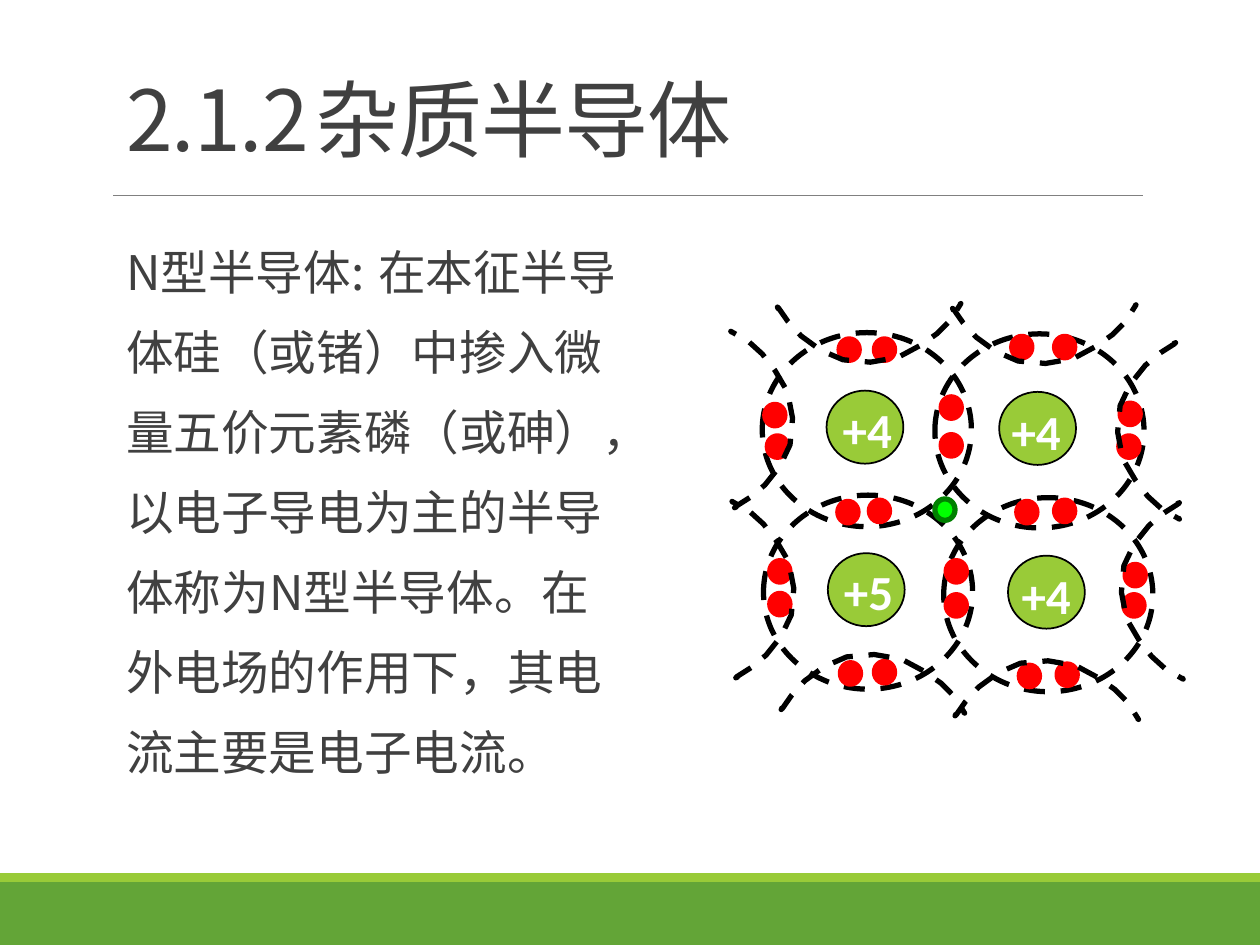
from lxml import etree
from pptx import Presentation
from pptx import util as u
from pptx.dml import color as dml
from pptx.enum import dml as lines
from pptx.enum import shapes, text
from pptx.oxml import ns

Inches = u.Inches
hex_color = dml.RGBColor.from_string
CJK = "Noto Sans CJK SC"
BLACK, RED, LIME = "000000", "FF0000", "99CB38"


def write(box, words, font=CJK, size=28, color="404040", bold=False, spacing=1.0,
          anchor=text.MSO_ANCHOR.TOP, tab=None, tracking=0):
    frame = box.text_frame
    frame.word_wrap = True
    frame.auto_size = text.MSO_AUTO_SIZE.NONE
    frame.vertical_anchor = anchor
    frame.margin_left = Inches(0.1)
    frame.margin_right = 0
    frame.margin_top = frame.margin_bottom = Inches(0.05)
    para = frame.paragraphs[0]
    para.alignment = text.PP_ALIGN.LEFT
    para.line_spacing = spacing
    para.space_before = u.Pt(0)
    properties = para._p.get_or_add_pPr()
    properties.set("marL", "0")
    properties.set("indent", "0")
    etree.SubElement(properties, ns.qn("a:buNone"))
    if tab:
        stops = etree.SubElement(properties, ns.qn("a:tabLst"))
        etree.SubElement(stops, ns.qn("a:tab"), pos=str(Inches(tab)), algn="l")
    span = para.add_run()
    span.text = words
    span.font.name = font
    span.font.size = u.Pt(size)
    span.font.bold = bold
    span.font.color.rgb = hex_color(color)
    run_properties = span._r.get_or_add_rPr()
    run_properties.set("spc", str(int(tracking * 100)))
    etree.SubElement(run_properties, ns.qn("a:ea")).set("typeface", font)


def paint(shape, fill=None, line=None, width=1, dashed=False):
    shape.shadow.inherit = False
    if fill:
        shape.fill.solid()
        shape.fill.fore_color.rgb = hex_color(fill)
    else:
        shape.fill.background()
    if line:
        shape.line.color.rgb = hex_color(line)
        shape.line.width = u.Pt(width)
    else:
        shape.line.fill.background()
    if dashed:
        shape.line.dash_style = lines.MSO_LINE.DASH


deck = Presentation()
deck.slide_width, deck.slide_height = Inches(10), Inches(7.5)
page = deck.slides.add_slide(deck.slide_layouts[1])
title, body = page.placeholders
drawing = page.shapes
OVAL = shapes.MSO_SHAPE.OVAL

for top, height, fill in [(7, 0.5, "63A537"), (6.93, 0.07, LIME)]:
    band = drawing.add_shape(shapes.MSO_SHAPE.RECTANGLE, 0, Inches(top), Inches(10), Inches(height))
    paint(band, fill)

rule = drawing.add_connector(shapes.MSO_CONNECTOR.STRAIGHT,
                             Inches(0.9), Inches(1.55), Inches(9.07), Inches(1.55))
rule.line.color.rgb = hex_color("808080")
rule.line.width = u.Pt(0.5)
etree.SubElement(rule._element.spPr, ns.qn("a:effectLst"))

for box, (left, top, width, height) in [(title, (0.9, 0.31, 8.25, 1.08)), (body, (0.9, 1.7, 4.1, 4.72))]:
    box.left, box.top, box.width, box.height = map(Inches, (left, top, width, height))
write(title, "2.1.2\t杂质半导体", size=48, spacing=0.85, anchor=text.MSO_ANCHOR.BOTTOM,
      tab=2.02, tracking=-0.5)
write(body, "N型半导体:\t在本征半导体硅（或锗）中掺入微量五价元素磷（或砷），"
            "以电子导电为主的半导体称为N型半导体。在外电场的作用下，其电流主要是电子电流。",
      size=27.2, spacing=1.4, tab=2.33)

atoms = [
    ("+4", (6.05, 2.64), (6.59, 3.12)), ("+4", (7.42, 2.65), (7.93, 3.14)),
    ("+5", (6.06, 3.93), (6.6, 4.41)), ("+4", (7.49, 3.95), (8.01, 4.44)),
]
for charge, (left, top), place in atoms:
    nucleus = drawing.add_shape(OVAL, Inches(left + 0.51), Inches(top + 0.46), Inches(0.61), Inches(0.58))
    paint(nucleus, LIME, BLACK)
    orbit = drawing.add_shape(OVAL, Inches(left), Inches(top), Inches(1.66), Inches(1.54))
    paint(orbit, None, BLACK, 3, dashed=True)

electrons = [
    (6.66, 2.69), (6.94, 2.69), (8.03, 2.67), (8.37, 2.67),
    (6.07, 3.21), (6.09, 3.46), (7.47, 3.15), (7.47, 3.45), (8.89, 3.2), (8.88, 3.46),
    (6.65, 3.98), (6.9, 3.97), (8.07, 3.98), (8.37, 3.97),
    (6.11, 4.45), (6.11, 4.71), (7.51, 4.45), (7.51, 4.72), (8.93, 4.48), (8.92, 4.72),
    (6.67, 5.26), (6.94, 5.25), (8.09, 5.28), (8.39, 5.27),
]
for left, top in electrons:
    electron = drawing.add_shape(OVAL, Inches(left), Inches(top), Inches(0.16), Inches(0.17))
    paint(electron, RED, RED, 3)

profile = [
    (0.02, 0.06), (0.01, 0.04), (0.02, 0.05), (0.09, 0.16), (0.19, 0.28), (0.34, 0.4), (0.51, 0.48),
    (0.72, 0.5), (0.93, 0.46), (1.1, 0.36), (1.23, 0.26), (1.33, 0.15), (1.41, 0.01), (1.4, 0.02),
]
sides = [
    ((0, 1), (-1, 0), [(9.37, 2.71), (9.4, 3.98)]),
    ((1.04, 0), (0, 0.95), [(6.16, 2.4), (7.55, 2.41)]),
    ((1.04, 0), (0, -0.95), [(6.19, 5.67), (7.57, 5.72)]),
    ((0, -1), (1, 0), [(5.79, 4.04), (5.8, 5.39)]),
]
for along, depth, origins in sides:
    for x, y in origins:
        points = [(Inches(x + a * along[0] + d * depth[0]), Inches(y + a * along[1] + d * depth[1]))
                  for a, d in profile]
        builder = drawing.build_freeform(*points[0])
        builder.add_line_segments(points[1:], close=False)
        paint(builder.convert_to_shape(), None, BLACK, 3, dashed=True)

for charge, orbit_place, (left, top) in atoms:
    label = drawing.add_textbox(Inches(left), Inches(top), Inches(0.7), Inches(0.57))
    write(label, charge, font="Calibri", color="FFFFFF", bold=True)

free_electron = drawing.add_shape(OVAL, Inches(7.42), Inches(3.96), Inches(0.16), Inches(0.17))
paint(free_electron, "00FF00", "008000", 3)

deck.save("out.pptx")
